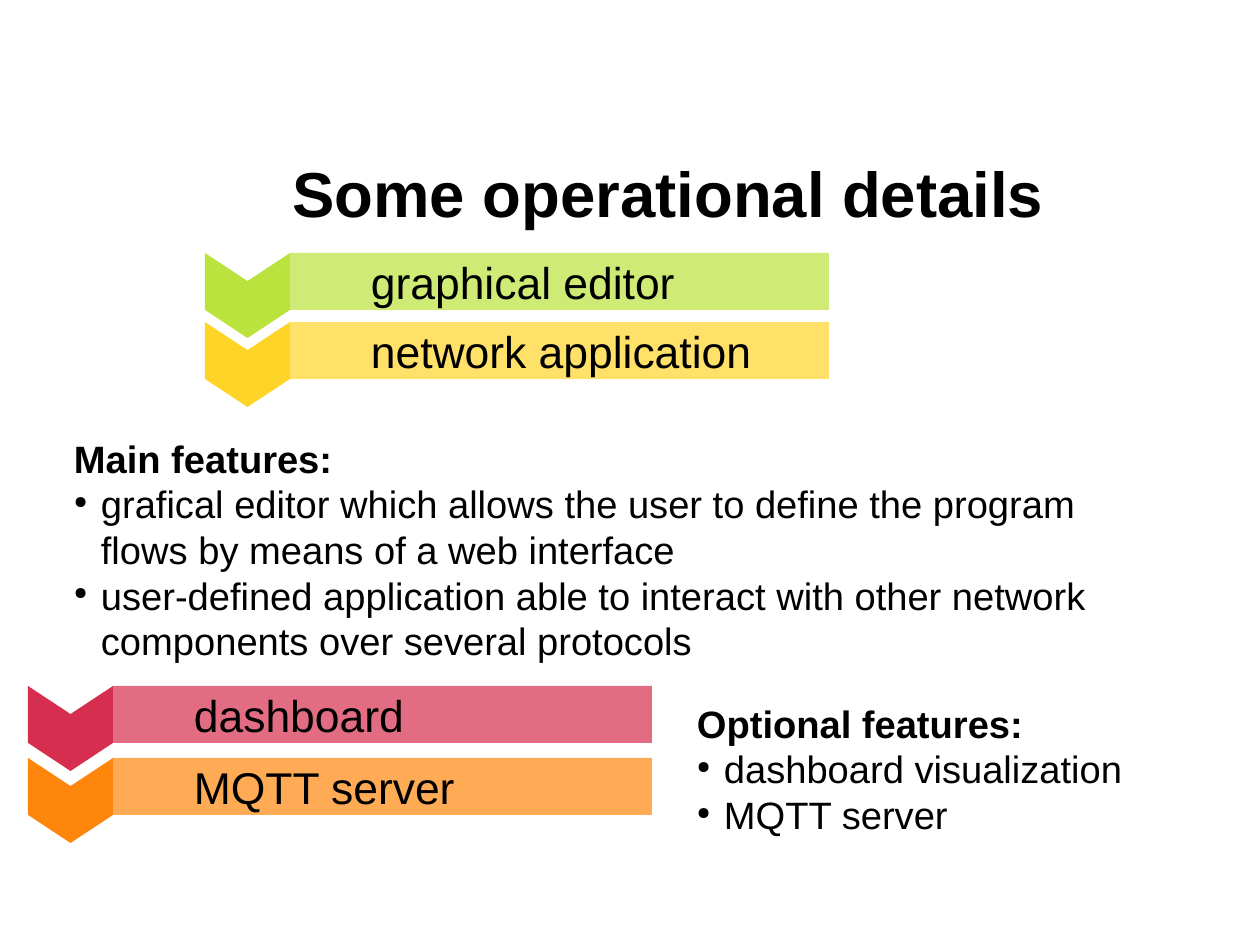
import lxml.etree
import pptx
import pptx.dml.color
import pptx.enum.shapes
import pptx.enum.text
import pptx.oxml.ns
import pptx.util
from dataclasses import dataclass

PX = 8000  # EMU in one px


@dataclass(frozen=True)
class Theme:
    font: str = "Arial"
    bullet_font: str = "OpenSymbol"
    ink: str = "000000"
    green: str = "BBE33D"
    yellow: str = "FFD428"
    red: str = "D62E4E"
    orange: str = "FF860D"
    title_size: int = 40
    label_size: int = 28
    body_size: int = 24
    bar_opacity: int = 70


THEME = Theme()


def px(length):
    return pptx.util.Emu(length * PX)


def rgb(color):
    return pptx.dml.color.RGBColor.from_string(color)


def add_xml(parent, tag, **attributes):
    element = lxml.etree.SubElement(parent, pptx.oxml.ns.qn(tag))
    for name, value in attributes.items():
        element.set(name, str(value))
    return element


def set_font(paragraph, size, bold=False):
    font = paragraph.font
    font.name, font.size, font.bold = THEME.font, pptx.util.Pt(size), bold
    font.color.rgb = rgb(THEME.ink)


def set_frame(frame, anchor, horizontal, top, bottom):
    frame.word_wrap = True
    frame.auto_size = pptx.enum.text.MSO_AUTO_SIZE.NONE
    frame.vertical_anchor = anchor
    frame.margin_left = frame.margin_right = px(horizontal)
    frame.margin_top, frame.margin_bottom = px(top), px(bottom)


def set_title(slide, box, text):
    title = slide.shapes.title
    title.left, title.top, title.width, title.height = map(px, box)
    set_frame(title.text_frame, pptx.enum.text.MSO_ANCHOR.MIDDLE, 0, 5, 0)
    title.text_frame.text = text
    paragraph = title.text_frame.paragraphs[0]
    paragraph.alignment = pptx.enum.text.PP_ALIGN.CENTER
    paragraph.line_spacing = 0.93
    set_font(paragraph, THEME.title_size, bold=True)


def add_block(slide, kind, box, color):
    shape = slide.shapes.add_shape(kind, *map(px, box))
    shape.shadow.inherit = False
    shape.fill.solid()
    shape.fill.fore_color.rgb = rgb(color)
    shape.line.fill.background()
    return shape


def add_chevron_list(slide, box, step, rows):
    """Stack rows of a downward chevron with a labelled bar beside it."""
    left, top, width, bar_height = box
    chevron_side = 85
    kinds = pptx.enum.shapes.MSO_SHAPE
    for index, (label, color) in enumerate(rows):
        row_top = top + index * step

        # Pale bar with its label
        bar_box = (left + chevron_side, row_top, width - chevron_side, bar_height)
        bar = add_block(slide, kinds.RECTANGLE, bar_box, color)
        fill_color = bar._element.spPr.find(".//" + pptx.oxml.ns.qn("a:srgbClr"))
        add_xml(fill_color, "a:alpha", val=THEME.bar_opacity * 1000)
        set_frame(bar.text_frame, pptx.enum.text.MSO_ANCHOR.MIDDLE, 14, 8, 8)
        bar.text_frame.text = label
        paragraph = bar.text_frame.paragraphs[0]
        paragraph.alignment = pptx.enum.text.PP_ALIGN.LEFT
        paragraph._p.get_or_add_pPr().set("marL", str(px(67)))
        set_font(paragraph, THEME.label_size)

        # Chevron turned to point down
        chevron_box = (left, row_top, chevron_side, chevron_side)
        chevron = add_block(slide, kinds.CHEVRON, chevron_box, color)
        chevron.adjustments[0] = 0.33
        chevron.rotation = 90


def add_bullet(paragraph):
    properties = paragraph._p.get_or_add_pPr()
    properties.set("marL", str(px(27)))
    properties.set("indent", str(px(-27)))
    add_xml(add_xml(properties, "a:buClr"), "a:srgbClr", val=THEME.ink)
    add_xml(properties, "a:buSzPct", val=45000)
    add_xml(properties, "a:buFont", typeface=THEME.bullet_font)
    add_xml(properties, "a:buChar", char="●")


def add_features(slide, box, heading, items):
    frame = slide.shapes.add_textbox(*map(px, box)).text_frame
    set_frame(frame, pptx.enum.text.MSO_ANCHOR.TOP, 11, 6, 6)
    frame.text = heading
    set_font(frame.paragraphs[0], THEME.body_size, bold=True)
    for item in items:
        paragraph = frame.add_paragraph()
        paragraph.text = item
        add_bullet(paragraph)
        set_font(paragraph, THEME.body_size)


def main():
    presentation = pptx.Presentation()
    presentation.slide_width, presentation.slide_height = px(1260), px(945)
    title_only = presentation.slide_layouts[5]
    slide = presentation.slides.add_slide(title_only)

    set_title(slide, (144, 158, 1048, 71), "Some operational details")

    # Main features
    add_chevron_list(slide, (205, 253, 624, 57), 69, [
        ("graphical editor", THEME.green),
        ("network application", THEME.yellow),
    ])
    add_features(slide, (63, 429, 1109, 224), "Main features:", [
        "grafical editor which allows the user to define the program "
        "flows by means of a web interface",
        "user-defined application able to interact with other network "
        "components over several protocols",
    ])

    # Optional features
    add_chevron_list(slide, (28, 686, 624, 57), 72, [
        ("dashboard", THEME.red),
        ("MQTT server", THEME.orange),
    ])
    add_features(slide, (686, 694, 543, 149), "Optional features:", [
        "dashboard visualization",
        "MQTT server",
    ])

    presentation.save("out.pptx")


if __name__ == "__main__":
    main()
